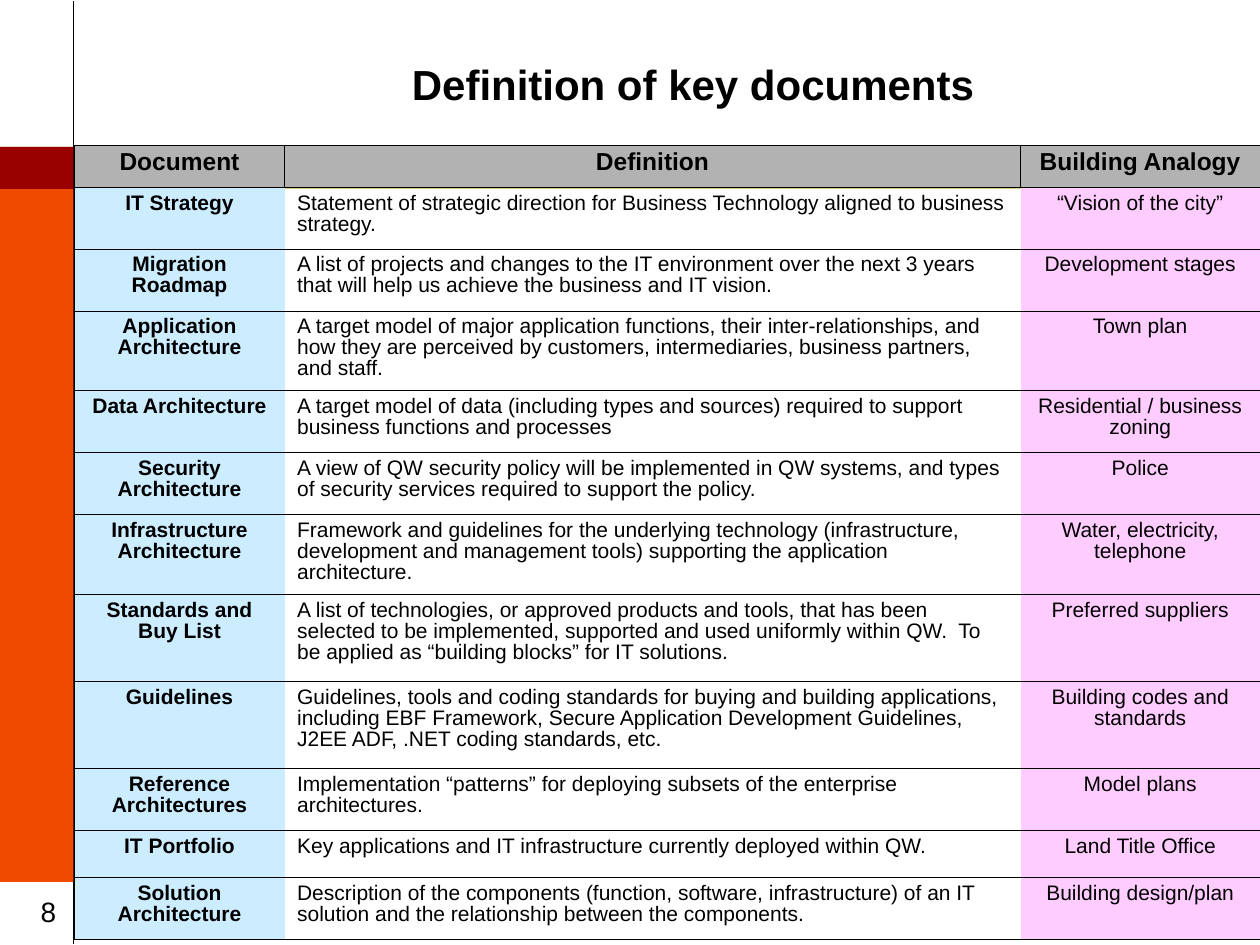
from lxml import etree
from pptx import Presentation
from pptx import util as u
from pptx.dml.color import RGBColor
from pptx.enum import shapes, text
from pptx.oxml import ns

BLACK = RGBColor(0x00, 0x00, 0x00)
KHAKI = RGBColor(0xD8, 0xCC, 0x82)
ORANGE = RGBColor(0xF0, 0x4A, 0x00)
DARK_RED = RGBColor(0x99, 0x00, 0x00)
GREY = RGBColor(0xB2, 0xB2, 0xB2)
PALE_BLUE = RGBColor(0xCC, 0xEC, 0xFF)
PINK = RGBColor(0xFF, 0xCC, 0xFF)

GRID_COLS, GRID_ROWS = 120, 90
UNIT = u.Inches(10) / GRID_COLS
RAIL = 7
BAND_TOP, BAND_HEIGHT = 14, 4
BODY_TOP = BAND_TOP + BAND_HEIGHT
BODY_BOTTOM = 84

TABLE_LEFT, TABLE_TOP = 7.1, 13.82
COLUMN_WIDTHS = (20, 70.1, 22.8)
TWO_LINES, THREE_LINES, TALL, ONE_LINE = 5.9, 7.62, 8.29, 4.48
HEADER_HEIGHT = 4
HEADERS = ("Document", "Definition", "Building Analogy")
DOCUMENTS = (
    (TWO_LINES, "IT Strategy",
     "Statement of strategic direction for Business Technology aligned to business strategy.",
     "“Vision of the city”"),
    (TWO_LINES, "Migration Roadmap",
     "A list of projects and changes to the IT environment over the next 3 years "
     "that will help us achieve the business and IT vision.",
     "Development stages"),
    (THREE_LINES, "Application Architecture",
     "A target model of major application functions, their inter-relationships, and how "
     "they are perceived by customers, intermediaries, business partners, and staff.",
     "Town plan"),
    (TWO_LINES, "Data Architecture",
     "A target model of data (including types and sources) required to support "
     "business functions and processes",
     "Residential / business zoning"),
    (TWO_LINES, "Security Architecture",
     "A view of QW security policy will be implemented in QW systems, and types "
     "of security services required to support the policy.",
     "Police"),
    (THREE_LINES, "Infrastructure Architecture",
     "Framework and guidelines for the underlying technology (infrastructure, "
     "development and management tools) supporting the application architecture.",
     "Water, electricity, telephone"),
    (TALL, "Standards and Buy List",
     "A list of technologies, or approved products and tools, that has been selected "
     "to be implemented, supported and used uniformly within QW.  To be applied as "
     "“building blocks” for IT solutions.",
     "Preferred suppliers"),
    (TALL, "Guidelines",
     "Guidelines, tools and coding standards for buying and building applications, "
     "including EBF Framework, Secure Application Development Guidelines, "
     "J2EE ADF, .NET coding standards, etc.",
     "Building codes and standards"),
    (TWO_LINES, "Reference Architectures",
     "Implementation “patterns” for deploying subsets of the enterprise architectures.",
     "Model plans"),
    (ONE_LINE, "IT Portfolio",
     "Key applications and IT infrastructure currently deployed within QW.",
     "Land Title Office"),
    (TWO_LINES, "Solution Architecture",
     "Description of the components (function, software, infrastructure) of an IT "
     "solution and the relationship between the components.",
     "Building design/plan"),
)


def grid(*units):
    return [u.Emu(round(n * UNIT)) for n in units]


def write(tf, content, size=12, bold=False, align=text.PP_ALIGN.CENTER,
          spacing=None, after=None):
    tf.word_wrap = True
    p = tf.paragraphs[0]
    p.alignment = align
    p.line_spacing = spacing
    p.space_after = after
    r = p.add_run()
    r.text = content
    r.font.name = "Arial"
    r.font.size = u.Pt(size)
    r.font.bold = bold
    r.font.color.rgb = BLACK


def add_block(s, left, top, width, height, color):
    sp = s.shapes.add_shape(shapes.MSO_SHAPE.RECTANGLE, *grid(left, top, width, height))
    sp.shadow.inherit = False
    sp.fill.solid()
    sp.fill.fore_color.rgb = color
    sp.line.fill.background()


def add_rule(s, x, top, bottom):
    line = s.shapes.add_connector(shapes.MSO_CONNECTOR.STRAIGHT, *grid(x, top, x, bottom))
    line.line.color.rgb = BLACK
    line.line.width = u.Pt(1)
    etree.SubElement(line._element.spPr, ns.qn("a:effectLst"))


def add_label(s, left, top, width, height, content, anchor=text.MSO_ANCHOR.TOP, **fmt):
    tf = s.shapes.add_textbox(*grid(left, top, width, height)).text_frame
    tf.vertical_anchor = anchor
    write(tf, content, **fmt)


def set_borders(cell, sides):
    props = cell._tc.get_or_add_tcPr()
    for i, side in enumerate("LRTB"):
        ln = etree.Element(ns.qn(f"a:ln{side}"), w=str(u.Pt(0.45)))
        if side in sides:
            fill = etree.SubElement(ln, ns.qn("a:solidFill"))
            etree.SubElement(fill, ns.qn("a:srgbClr"), val=str(BLACK))
        else:
            etree.SubElement(ln, ns.qn("a:noFill"))
        props.insert(i, ln)


def fill_cell(cell, content, color, sides, **fmt):
    if color is None:
        cell.fill.background()
    else:
        cell.fill.solid()
        cell.fill.fore_color.rgb = color
    set_borders(cell, sides)
    write(cell.text_frame, content, spacing=0.89, **fmt)


def add_documents_table(s):
    heights = [HEADER_HEIGHT] + [row[0] for row in DOCUMENTS]
    frame = s.shapes.add_table(
        len(heights), len(COLUMN_WIDTHS),
        *grid(TABLE_LEFT, TABLE_TOP, sum(COLUMN_WIDTHS), sum(heights)))
    table = frame.table
    for column, width in zip(table.columns, grid(*COLUMN_WIDTHS)):
        column.width = width
    for row, height in zip(table.rows, grid(*heights)):
        row.height = height
    for c, header in enumerate(HEADERS):
        fill_cell(table.cell(0, c), header, GREY, "LRTB", size=14, bold=True,
                  after=u.Pt(1.8))
    styles = (
        (PALE_BLUE, "LTB", {"bold": True}),
        (None, "TB", {"align": text.PP_ALIGN.LEFT}),
        (PINK, "RTB", {}),
    )
    for i, (_, *contents) in enumerate(DOCUMENTS, 1):
        for c, (content, (color, sides, fmt)) in enumerate(zip(contents, styles)):
            fill_cell(table.cell(i, c), content, color, sides, after=u.Pt(1.5), **fmt)


def main():
    prs = Presentation()
    prs.slide_width, prs.slide_height = grid(GRID_COLS, GRID_ROWS)
    s = prs.slides.add_slide(prs.slide_layouts[6])
    add_block(s, 0, BAND_TOP, GRID_COLS, BAND_HEIGHT, KHAKI)
    add_rule(s, RAIL, 0.1, GRID_ROWS - 0.1)
    add_block(s, 0, BODY_TOP, RAIL, BODY_BOTTOM - BODY_TOP, ORANGE)
    add_block(s, 0, BAND_TOP, RAIL, BAND_HEIGHT, DARK_RED)
    add_label(s, 1.1, 84.6, RAIL, 4.8, "8", size=16)
    add_label(s, 19, 4, 94, 8, "Definition of key documents",
              anchor=text.MSO_ANCHOR.MIDDLE, size=24, bold=True)
    add_documents_table(s)
    prs.save("out.pptx")


if __name__ == "__main__":
    main()
